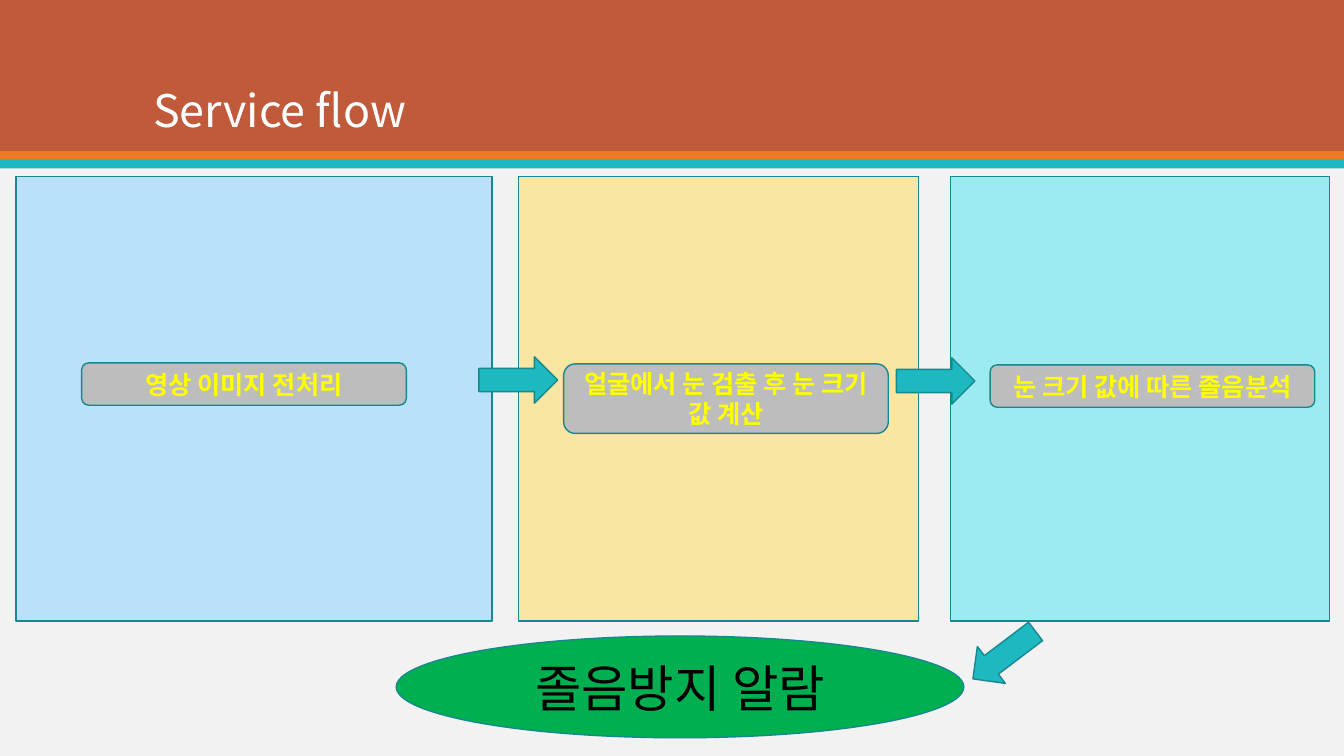
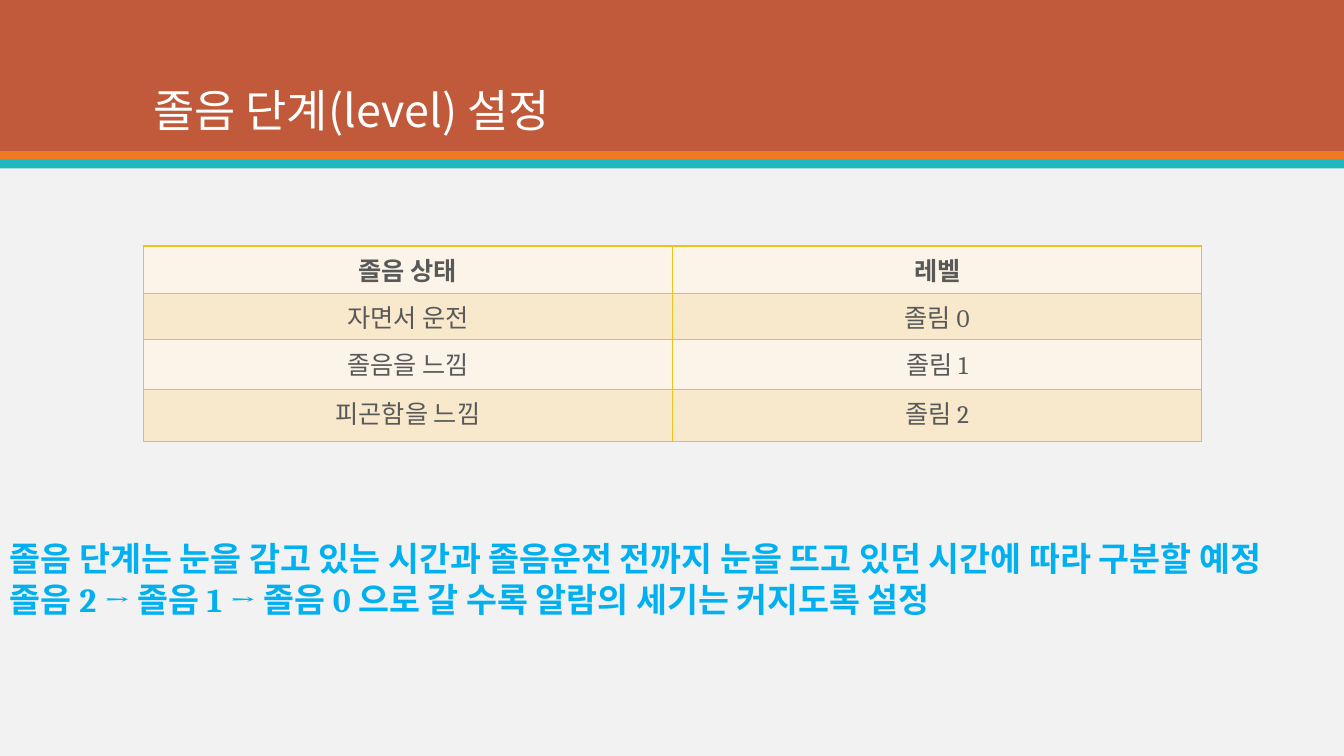
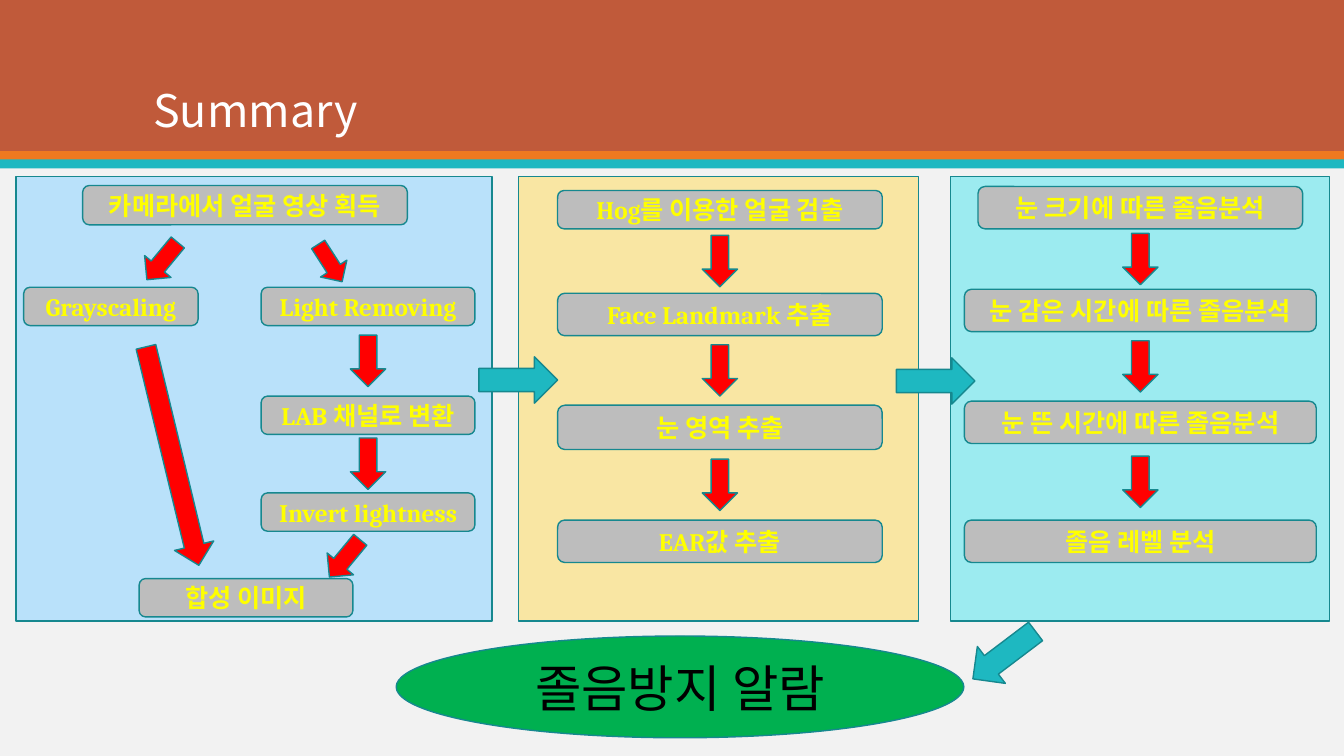
from dataclasses import dataclass
from itertools import pairwise

from lxml.etree import SubElement
from pptx import Presentation
from pptx.dml.color import RGBColor
from pptx.enum.shapes import MSO_SHAPE as Preset
from pptx.enum.text import MSO_ANCHOR as Anchor, PP_ALIGN as Align
from pptx.oxml.ns import qn
from pptx.util import Inches, Pt


@dataclass(frozen=True)
class Theme:
    background: str = "F2F2F2"
    header: str = "C05A3A"
    accent: str = "EF7920"
    teal: str = "1EB8C1"
    outline: str = "16888F"
    panels: tuple = ("B9E1FA", "F9E6A3", "9CEBF0")
    step: str = "BDBDBD"
    step_text: str = "FFFF00"
    step_arrow: str = "FF0000"
    alarm: str = "00B050"
    alarm_text: str = "000000"
    title_text: str = "FFFFFF"
    table_text: str = "595959"
    table_border: str = "EFC119"
    table_bands: tuple = ("FCF4E8", "F9E9CC")
    note: str = "00B0F0"
    body_font: str = "Cambria"
    title_font: str = "Noto Sans CJK KR"
    title_size: int = 32
    body_size: int = 18
    note_size: int = 24
    alarm_size: int = 36


THEME = Theme()
WIDTH, HEIGHT = 13.33, 7.5
MARGIN, CONTENT_WIDTH = 1.42, 10.5
BANDS = [(0, 1.5, THEME.header), (1.5, 0.09, THEME.accent), (1.58, 0.09, THEME.teal)]

PANEL_TOP, PANEL_HEIGHT = 1.75, 4.41
PANELS = [(0.16, 4.72), (5.14, 3.97), (9.43, 3.76)]
STAGE_ARROWS = [(4.75, 3.54, 0), (8.89, 3.55, 0), (9.57, 6.27, 142.9)]
STAGE_ARROW_SIZE = (0.78, 0.46)
ALARM = ("졸음방지 알람", (3.93, 6.31, 5.63, 1.01))
STEP_ARROW_SIZE = (0.35, 0.51)

FLOW_CHAINS = [
    (2.42, [("영상 이미지 전처리", 3.22, 3.6, 0.42)]),
    (7.2, [("얼굴에서 눈 검출 후 눈 크기 값 계산", 3.22, 3.61, 0.69)]),
    (11.43, [("눈 크기 값에 따른 졸음분석", 3.22, 3.62, 0.42)]),
]
SUMMARY_CHAINS = [
    (2.43, [("카메라에서 얼굴 영상 획득", 3.22, 1.84, 0.39)]),
    (1.1, [("Grayscaling", 1.73, 2.85, 0.38)]),
    (3.65, [
        ("Light Removing", 2.12, 2.85, 0.38),
        ("LAB 채널로 변환", 2.12, 3.93, 0.38),
        ("Invert lightness", 2.12, 4.89, 0.38),
    ]),
    (2.44, [("합성 이미지", 2.12, 5.74, 0.38)]),
    (7.14, [
        ("Hog를 이용한 얼굴 검출", 3.22, 1.89, 0.38),
        ("Face Landmark 추출", 3.22, 2.91, 0.42),
        ("눈 영역 추출", 3.22, 4.02, 0.44),
        ("EAR값 추출", 3.22, 5.16, 0.42),
    ]),
    (11.31, [
        ("눈 크기에 따른 졸음분석", 3.22, 1.85, 0.42),
        ("눈 감은 시간에 따른 졸음분석", 3.49, 2.87, 0.42),
        ("눈 뜬 시간에 따른 졸음분석", 3.49, 3.98, 0.42),
        ("졸음 레벨 분석", 3.49, 5.16, 0.42),
    ]),
]
BRANCH_ARROWS = [
    ((1.44, 2.35, 0.34, 0.48), 39.6),
    ((3.12, 2.39, 0.31, 0.44), 327.3),
    ((1.51, 3.41, 0.4, 2.23), 346.4),
    ((3.25, 5.3, 0.34, 0.48), 39.6),
]

LEVELS = [
    ("졸음 상태", "레벨"),
    ("자면서 운전", "졸림 0"),
    ("졸음을 느낌", "졸림 1"),
    ("피곤함을 느낌", "졸림 2"),
]
LEVEL_ROW_HEIGHTS = [0.47, 0.46, 0.49, 0.52]
LEVEL_NOTES = [
    "졸음 단계는 눈을 감고 있는 시간과 졸음운전 전까지 눈을 뜨고 있던 시간에 따라 구분할 예정",
    "졸음 2 → 졸음 1 → 졸음 0 으로 갈 수록 알람의 세기는 커지도록 설정",
]


def color(value):
    return RGBColor.from_string(value)


def inches(box):
    return [Inches(value) for value in box]


def style(paragraph, size, ink, bold=False, align=Align.CENTER, font_name=THEME.body_font):
    paragraph.alignment = align
    font = paragraph.font
    font.size, font.bold, font.name = Pt(size), bold, font_name
    font.color.rgb = color(ink)
    SubElement(font._element, qn("a:ea"), typeface=THEME.title_font)


def add_shape(slide, preset, box, fill, outline=THEME.outline, rotation=0):
    shape = slide.shapes.add_shape(preset, *inches(box))
    shape.shadow.inherit = False
    shape.fill.solid()
    shape.fill.fore_color.rgb = color(fill)
    if outline:
        shape.line.color.rgb = color(outline)
        shape.line.width = Pt(1)
    else:
        shape.line.fill.background()
    shape.rotation = rotation
    return shape


def add_label(slide, preset, box, fill, text, size, ink, bold):
    frame = add_shape(slide, preset, box, fill).text_frame
    frame.word_wrap = True
    frame.vertical_anchor = Anchor.MIDDLE
    frame.text = text
    style(frame.paragraphs[0], size, ink, bold)


def add_titled_slide(presentation, layout, text):
    slide = presentation.slides.add_slide(layout)
    title = slide.shapes.title
    title.left, title.top, title.width, title.height = inches((MARGIN, 0.28, CONTENT_WIDTH, 1.13))
    frame = title.text_frame
    frame.text = text
    frame.vertical_anchor = Anchor.BOTTOM
    paragraph = frame.paragraphs[0]
    paragraph.line_spacing = 0.9
    style(paragraph, THEME.title_size, THEME.title_text, align=Align.LEFT, font_name=THEME.title_font)
    return slide


def move_bands_to_layout(slide, layout):
    for position, (top, height, fill) in enumerate(BANDS, start=2):
        band = add_shape(slide, Preset.RECTANGLE, (0, top, WIDTH, height), fill, None)
        layout.shapes.element.insert(position, band.element)


def add_chain(slide, center, steps):
    for text, width, top, height in steps:
        box = (center - width / 2, top, width, height)
        add_label(slide, Preset.ROUNDED_RECTANGLE, box, THEME.step, text,
                  THEME.body_size, THEME.step_text, True)
    width, height = STEP_ARROW_SIZE
    for (_, _, top, step_height), (_, _, next_top, _) in pairwise(steps):
        middle = (top + step_height + next_top) / 2
        box = (center - width / 2, middle - height / 2, width, height)
        add_shape(slide, Preset.DOWN_ARROW, box, THEME.step_arrow)


def fill_flow(slide, chains, branch_arrows=()):
    for (left, width), fill in zip(PANELS, THEME.panels):
        add_shape(slide, Preset.RECTANGLE, (left, PANEL_TOP, width, PANEL_HEIGHT), fill)
    for center, steps in chains:
        add_chain(slide, center, steps)
    for box, rotation in branch_arrows:
        add_shape(slide, Preset.DOWN_ARROW, box, THEME.step_arrow, rotation=rotation)
    for left, top, rotation in STAGE_ARROWS:
        add_shape(slide, Preset.RIGHT_ARROW, (left, top, *STAGE_ARROW_SIZE), THEME.teal, rotation=rotation)
    text, box = ALARM
    add_label(slide, Preset.OVAL, box, THEME.alarm, text, THEME.alarm_size, THEME.alarm_text, False)


def add_borders(cell):
    properties = cell._tc.get_or_add_tcPr()
    for position, side in enumerate(("lnL", "lnR", "lnT", "lnB")):
        line = SubElement(properties, qn(f"a:{side}"), w=str(Pt(1)))
        fill = SubElement(line, qn("a:solidFill"))
        SubElement(fill, qn("a:srgbClr"), val=THEME.table_border)
        properties.insert(position, line)


def fill_levels(slide):
    box = (MARGIN, 2.44, CONTENT_WIDTH, sum(LEVEL_ROW_HEIGHTS))
    table = slide.shapes.add_table(len(LEVELS), len(LEVELS[0]), *inches(box)).table
    table.first_row = table.horz_banding = False
    for row_index, (texts, height) in enumerate(zip(LEVELS, LEVEL_ROW_HEIGHTS)):
        table.rows[row_index].height = Inches(height)
        for column_index, text in enumerate(texts):
            cell = table.cell(row_index, column_index)
            cell.text = text
            cell.fill.solid()
            cell.fill.fore_color.rgb = color(THEME.table_bands[row_index % 2])
            style(cell.text_frame.paragraphs[0], THEME.body_size, THEME.table_text, row_index == 0)
            add_borders(cell)
    frame = slide.shapes.add_textbox(*inches((0, 5.29, WIDTH, 0.91))).text_frame
    frame.word_wrap = True
    frame.text = "\n".join(LEVEL_NOTES)
    for paragraph in frame.paragraphs:
        style(paragraph, THEME.note_size, THEME.note, True, Align.LEFT)


def main():
    presentation = Presentation()
    presentation.slide_width, presentation.slide_height = inches((WIDTH, HEIGHT))
    background = presentation.slide_master.background.fill
    background.solid()
    background.fore_color.rgb = color(THEME.background)
    layout = presentation.slide_layouts.get_by_name("Title Only")

    flow = add_titled_slide(presentation, layout, "Service flow")
    move_bands_to_layout(flow, layout)
    fill_flow(flow, FLOW_CHAINS)
    fill_levels(add_titled_slide(presentation, layout, "졸음 단계(level) 설정"))
    fill_flow(add_titled_slide(presentation, layout, "Summary"), SUMMARY_CHAINS, BRANCH_ARROWS)
    presentation.save("out.pptx")


if __name__ == "__main__":
    main()
